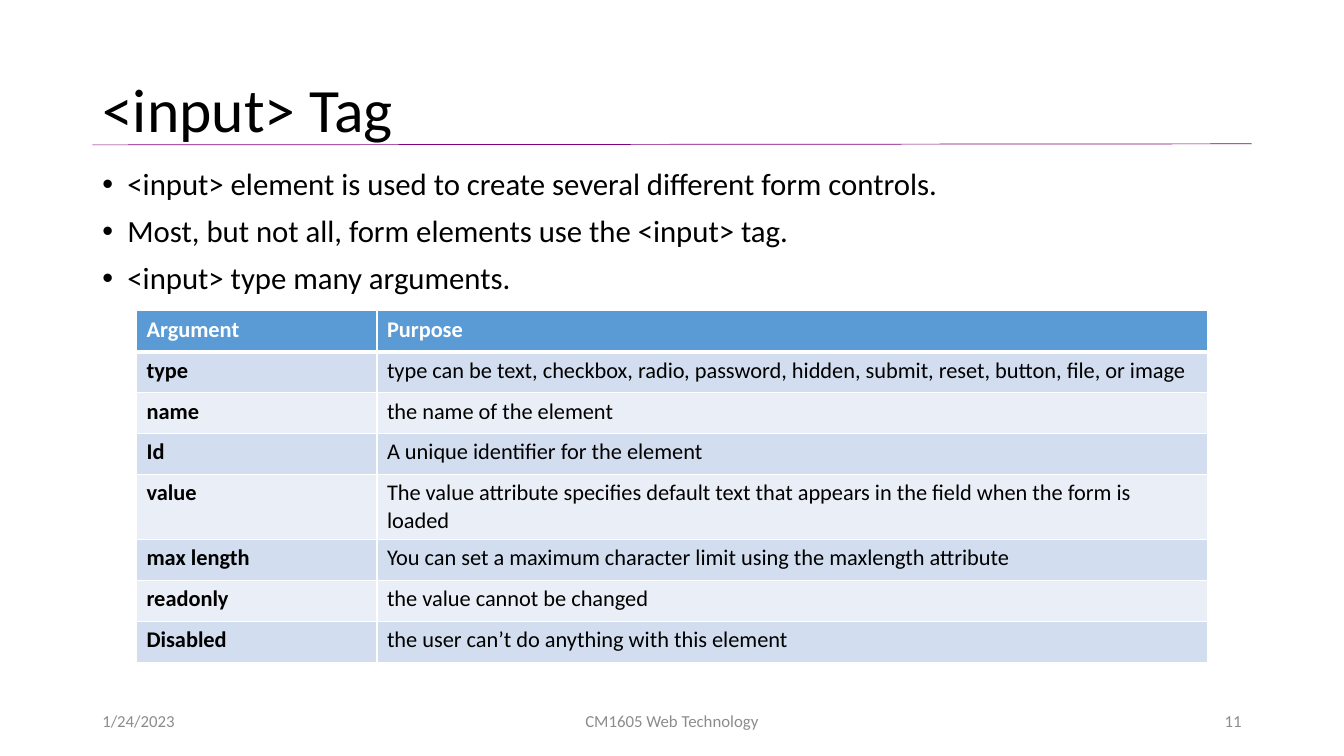
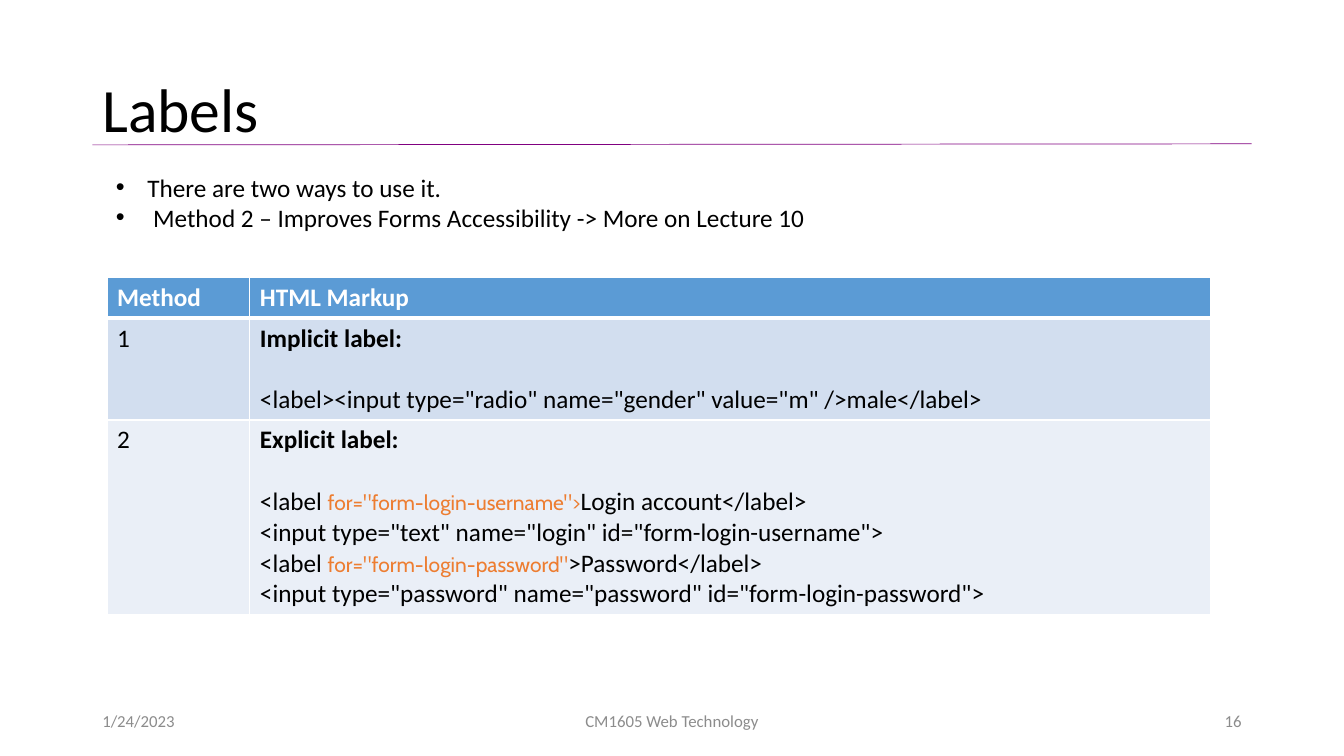
import pptx
import pptx.dml.color
import pptx.enum.shapes
import pptx.enum.text
import pptx.oxml
import pptx.oxml.ns
import pptx.util
from lxml import etree

RGB = pptx.dml.color.RGBColor
Pt = pptx.util.Pt
ALIGN = pptx.enum.text.PP_ALIGN
ANCHOR = pptx.enum.text.MSO_ANCHOR

BLACK = RGB(0x00, 0x00, 0x00)
WHITE = RGB(0xFF, 0xFF, 0xFF)
PURPLE = RGB(0x80, 0x00, 0x80)
GRAY = RGB(0x8C, 0x8C, 0x8C)
BLUE = RGB(0x5B, 0x9B, 0xD5)
ORANGE = RGB(0xED, 0x7D, 0x31)
BANDS = [RGB(0xD2, 0xDE, 0xEF), RGB(0xEA, 0xEF, 0xF7)]

EMU_PER_PX = 9525
LEFT, WIDTH = 88, 1104

PLAIN = {"name": "Calibri", "size": Pt(18), "bold": False, "color": BLACK}
TITLE = PLAIN | {"size": Pt(44)}
BODY = PLAIN | {"size": Pt(22)}
FOOTER = PLAIN | {"size": Pt(12), "color": GRAY}
SMALL = PLAIN | {"size": Pt(16)}
BOLD = {"bold": True}
HEADER = {"bold": True, "color": WHITE}
CODE = {"name": "Cabin", "size": Pt(15), "color": ORANGE}
AFTER_GAP = {"space_before": Pt(22)}

ARGUMENTS = [
    ("type", "type can be text, checkbox, radio, password, hidden, submit, reset, button, file, or image"),
    ("name", "the name of the element"),
    ("Id", "A unique identifier for the element"),
    ("value", "The value attribute specifies default text that appears in the field when the form is loaded"),
    ("max length", "You can set a maximum character limit using the maxlength attribute"),
    ("readonly", "the value cannot be changed"),
    ("Disabled", "the user can’t do anything with this element"),
]
IMPLICIT = [
    ([("Implicit label:", BOLD)], {}),
    ([('<label><input type="radio" name="gender" value="m" />male</label>', {})], AFTER_GAP),
]
EXPLICIT = [
    ([("Explicit label:", BOLD)], {}),
    ([("<label ", {}), ('for="form-login-username">', CODE), ("Login account</label>", {})], AFTER_GAP),
    ([('<input type="text" name="login" id="form-login-username">', {})], {}),
    ([("<label ", {}), ('for="form-login-password"', CODE), (">Password</label>", {})], {}),
    ([('<input type="password" name="password" id="form-login-password">', {})], {}),
]


def px(*lengths):
    return [length * EMU_PER_PX for length in lengths]


def line_of(text, look=None, **layout):
    return [([(text, look or {})], layout)]


def style(font, look):
    for key, value in look.items():
        if key == "color":
            font.color.rgb = value
        else:
            setattr(font, key, value)


def add_bullet(para, indent):
    properties = para._p.get_or_add_pPr()
    margin = indent * EMU_PER_PX
    properties.set("marL", str(margin))
    properties.set("indent", str(-margin))
    for tag, key, value in (("a:buFont", "typeface", "Arial"), ("a:buChar", "char", "•")):
        etree.SubElement(properties, pptx.oxml.ns.qn(tag)).set(key, value)


def write(frame, paras, look, indent=0):
    for index, (spans, layout) in enumerate(paras):
        para = frame.paragraphs[0] if index == 0 else frame.add_paragraph()
        if indent:
            add_bullet(para, indent)
        for key, value in layout.items():
            setattr(para, key, value)
        for text, changes in spans:
            span = para.add_run()
            span.text = text
            style(span.font, look | changes)


def add_text(page, place, paras, look, anchor=ANCHOR.TOP, indent=0):
    frame = page.shapes.add_textbox(*px(*place)).text_frame
    frame.word_wrap = True
    frame.vertical_anchor = anchor
    write(frame, paras, look, indent)


def add_bullets(page, place, lines, look, indent, gap=0, spacing=1.0):
    paras = []
    for index, text in enumerate(lines):
        paras += line_of(text, space_before=Pt(gap if index else 0), line_spacing=spacing)
    add_text(page, place, paras, look, indent=indent)


def add_rule(page):
    rule = page.shapes.add_connector(
        pptx.enum.shapes.MSO_CONNECTOR.STRAIGHT, *px(LEFT, 138, LEFT + WIDTH, 137))
    rule.line.color.rgb = PURPLE
    rule.line.width = Pt(0.5)
    etree.SubElement(rule._element.spPr, pptx.oxml.ns.qn("a:effectLst"))


def add_borders(cell, widths):
    properties = cell._tc.get_or_add_tcPr()
    for side, width in widths.items():
        border = etree.SubElement(properties, pptx.oxml.ns.qn("a:ln" + side))
        border.set("w", str(Pt(width)))
        fill = etree.SubElement(border, pptx.oxml.ns.qn("a:solidFill"))
        etree.SubElement(fill, pptx.oxml.ns.qn("a:srgbClr")).set("val", str(WHITE))


def add_grid(page, left, top, columns, heights, rows, look):
    place = px(left, top, sum(columns), sum(heights))
    table = page.shapes.add_table(len(rows), len(columns), *place).table
    for column, width in zip(table.columns, px(*columns)):
        column.width = width
    for row, height in zip(table.rows, px(*heights)):
        row.height = height
    for index, row in enumerate(rows):
        widths = {"L": 1, "R": 1, "T": 3 if index == 1 else 1, "B": 3 if index == 0 else 1}
        for position, paras in enumerate(row):
            cell = table.cell(index, position)
            add_borders(cell, widths)
            cell.fill.solid()
            cell.fill.fore_color.rgb = BANDS[(index - 1) % 2] if index else BLUE
            write(cell.text_frame, paras, look)


def add_page(deck, title, number):
    page = deck.slides.add_slide(deck.slide_layouts[6])
    add_rule(page)
    add_text(page, (LEFT, 38, WIDTH, 139), line_of(title, line_spacing=0.9), TITLE, ANCHOR.MIDDLE)
    for left, width, text, align in (
        (LEFT, 288, "1/24/2023", ALIGN.LEFT),
        (424, 432, "CM1605 Web Technology", ALIGN.CENTER),
        (904, 288, number, ALIGN.RIGHT),
    ):
        add_text(page, (left, 667, width, 38), line_of(text, alignment=align), FOOTER, ANCHOR.MIDDLE)
    return page


def header_row(*names):
    return [line_of(name, HEADER) for name in names]


def build_input_page(deck):
    page = add_page(deck, "<input> Tag", "11")
    add_bullets(page, (LEFT, 156, WIDTH, 457), [
        "<input> element is used to create several different form controls.",
        "Most, but not all, form elements use the <input> tag.",
        "<input> type many arguments.",
    ], BODY, indent=24, gap=10, spacing=0.9)
    rows = [header_row("Argument", "Purpose")]
    rows += [[line_of(name, BOLD), line_of(purpose)] for name, purpose in ARGUMENTS]
    heights = [39] * 4 + [62] + [39] * 3
    add_grid(page, 130, 296, [229, 791], heights, rows, SMALL)


def build_labels_page(deck):
    page = add_page(deck, "Labels", "16")
    rows = [
        header_row("Method", "HTML Markup"),
        [line_of("1"), IMPLICIT],
        [line_of("2"), EXPLICIT],
    ]
    add_grid(page, 102, 264, [136, 915], [39, 97, 185], rows, PLAIN)
    add_bullets(page, (101, 159, 1053, 97), [
        "There are two ways to use it.",
        " Method 2 – Improves Forms Accessibility -> More on Lecture 10",
    ], PLAIN, indent=30)


def main():
    deck = pptx.Presentation()
    deck.slide_width, deck.slide_height = px(1280, 720)
    build_input_page(deck)
    build_labels_page(deck)
    deck.save("out.pptx")


if __name__ == "__main__":
    main()
